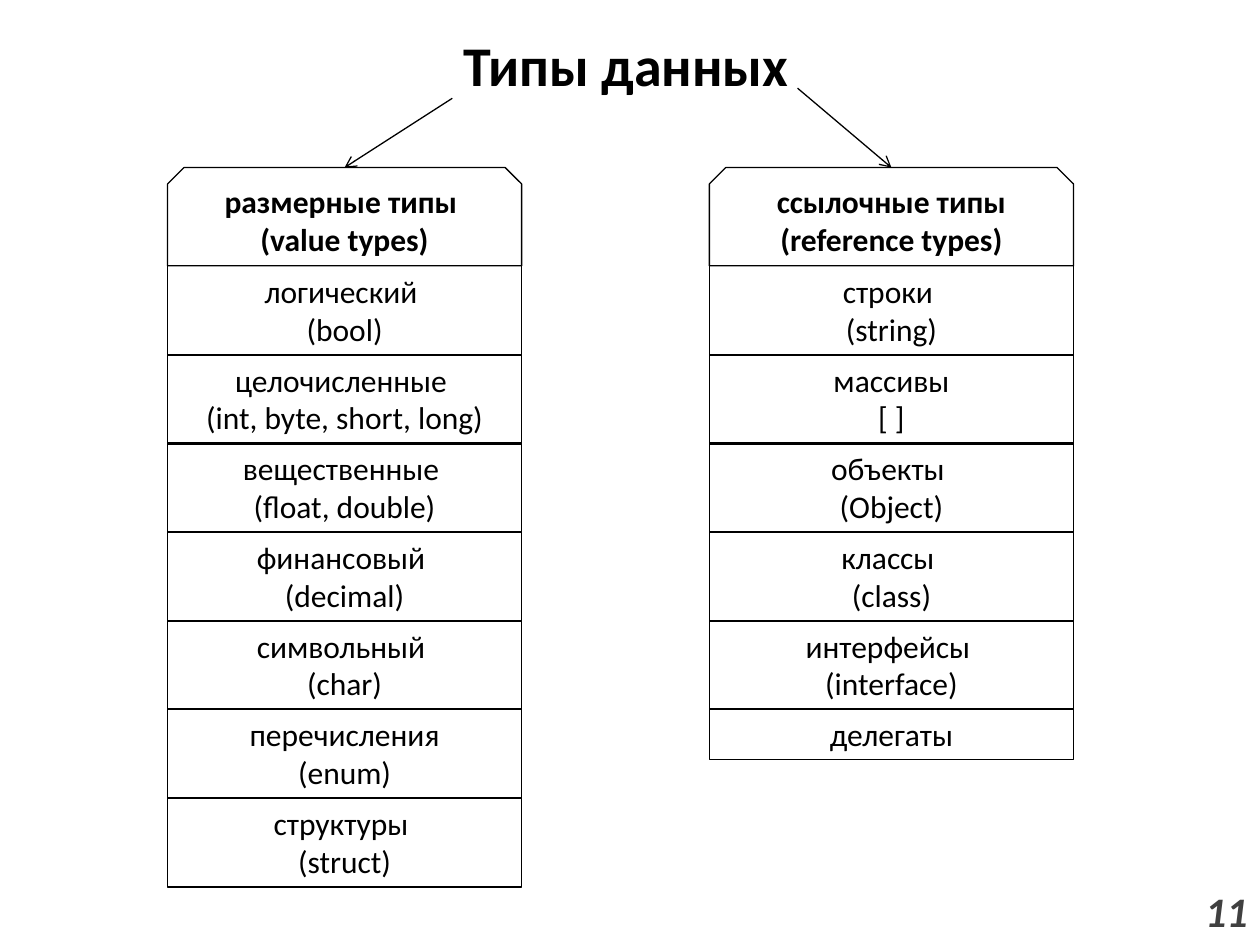
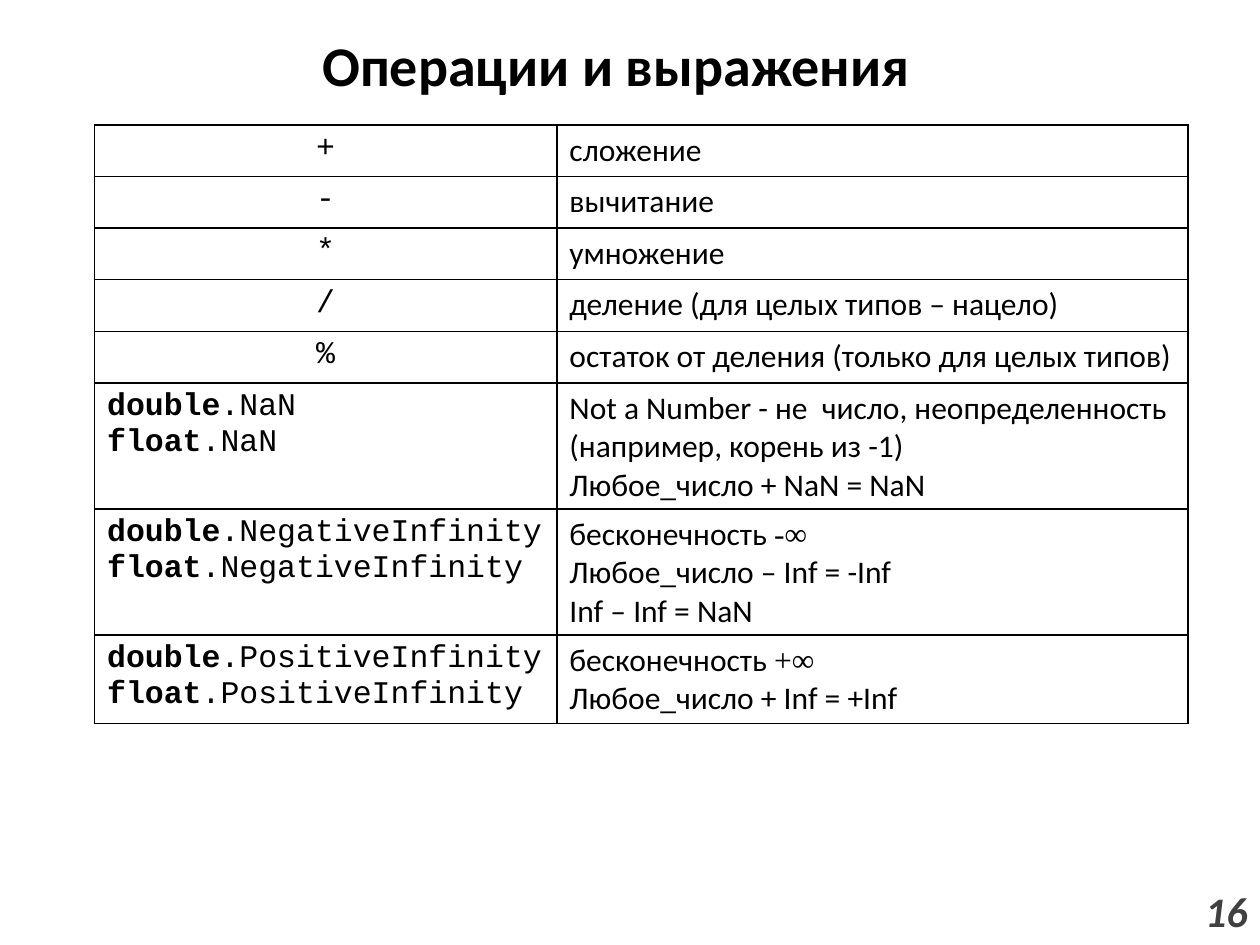
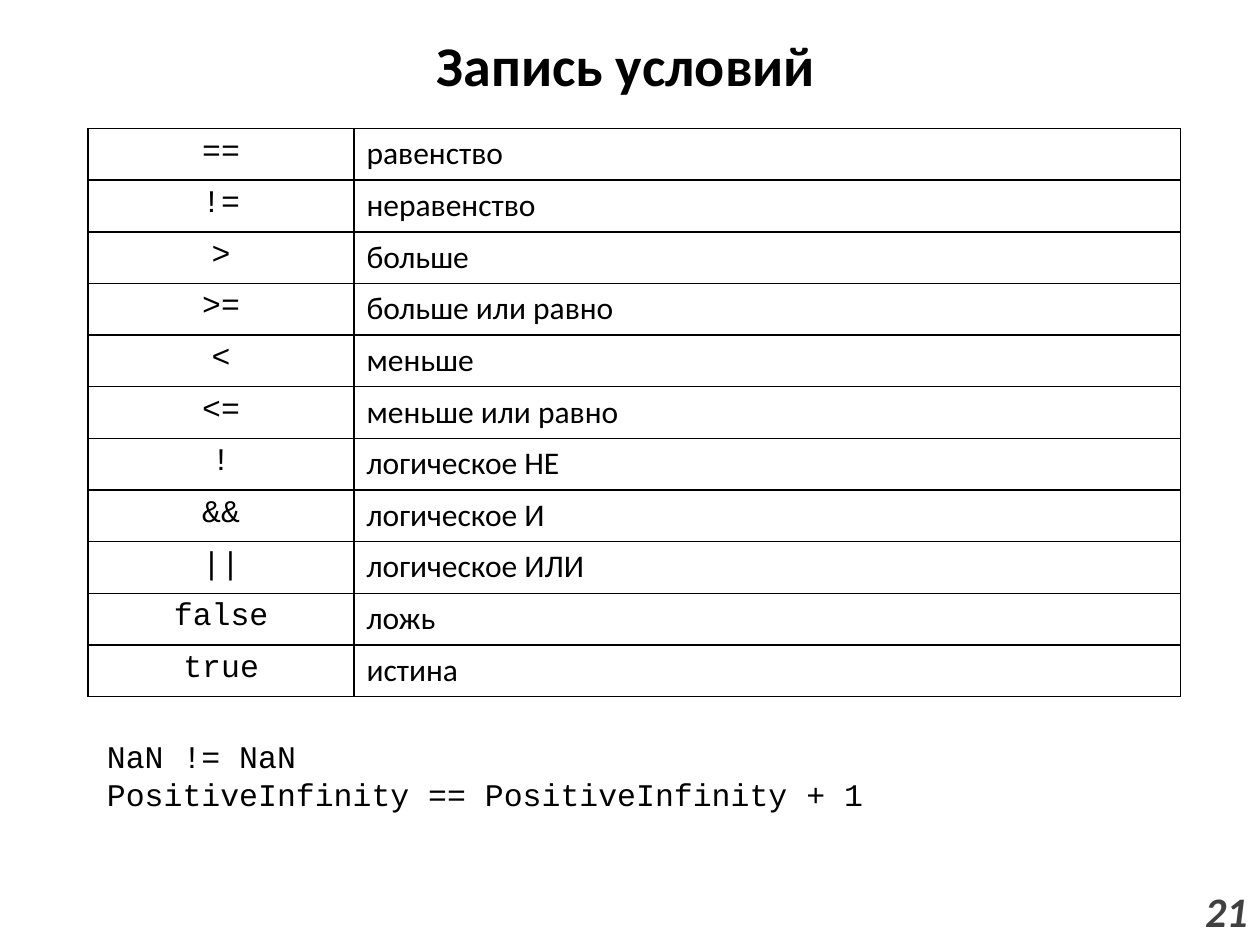
from pptx import Presentation
from pptx.dml.color import RGBColor
from pptx.enum.shapes import MSO_CONNECTOR, MSO_SHAPE
from pptx.enum.text import MSO_ANCHOR, MSO_AUTO_SIZE, PP_ALIGN
from pptx.oxml import parse_xml
from pptx.oxml.ns import nsdecls
from pptx.util import Inches, Pt

LEFT, MID, RIGHT = PP_ALIGN.LEFT, PP_ALIGN.CENTER, PP_ALIGN.RIGHT
TOP, CENTRE = MSO_ANCHOR.TOP, MSO_ANCHOR.MIDDLE
GROW = MSO_AUTO_SIZE.SHAPE_TO_FIT_TEXT
RECT, SNIP = MSO_SHAPE.RECTANGLE, MSO_SHAPE.SNIP_2_SAME_RECTANGLE
STRAIGHT = MSO_CONNECTOR.STRAIGHT

WIDE, HIGH = 10, 7.5
INK, GREY = "000000", "404040"
BODY = {"name": "Calibri", "size": Pt(18), "color": INK}
CODE = {**BODY, "name": "Courier New"}
HEAD = {**BODY, "bold": True}
TITLE = {**HEAD, "size": Pt(32)}
PAGE = {**HEAD, "size": Pt(24), "color": GREY, "italic": True}
BOLD = {"bold": True}
MATH = {"name": "Times New Roman"}

# Content: "\n" starts a paragraph, "\v" breaks a line.
TYPES = [
    {"left": 1.33, "width": 2.81, "arrow": (3.59, 0.78),
     "head": "размерные типы \n(value types)",
     "items": ["логический \v(bool)",
               "целочисленные \v(int, byte, short, long)",
               "вещественные \v(float, double)",
               "финансовый \v(decimal)",
               "символьный \v(char)",
               "перечисления\n(enum)",
               "структуры \v(struct)"]},
    {"left": 5.63, "width": 2.89, "arrow": (6.33, 0.7),
     "head": "ссылочные типы\n(reference types)",
     "items": ["строки \v(string)",
               "массивы\v [ ] ",
               "объекты \v(Object)",
               "классы \v(class)",
               "интерфейсы \v(interface)",
               "делегаты"]},
]


def fields(name):
    """Give the two code lines for a constant of double and float."""
    return [[(kind, BOLD), ("." + name, {})] for kind in ("double", "float")]


MATHS = [
    ("+", "сложение"),
    ("-", "вычитание"),
    ("*", "умножение"),
    ("/", "деление (для целых типов – нацело)"),
    ("%", "остаток от деления (только для целых типов)"),
    (fields("NaN"),
     "Not a Number - не  число, неопределенность (например, корень из -1)\n"
     "Любое_число + NaN = NaN"),
    (fields("NegativeInfinity"),
     [[("бесконечность ", {}), ("-∞", MATH)],
      "Любое_число – Inf = -Inf", "Inf – Inf = NaN"]),
    (fields("PositiveInfinity"),
     [[("бесконечность ", {}), ("+∞", MATH)],
      "Любое_число + Inf = +Inf"]),
]
TESTS = [
    ("==", "равенство"),
    ("!=", "неравенство"),
    (">", "больше"),
    (">=", "больше или равно"),
    ("<", "меньше"),
    ("<=", "меньше или равно"),
    ("!", "логическое НЕ"),
    ("&&", "логическое И"),
    ("||", "логическое ИЛИ"),
    ("false", "ложь"),
    ("true", "истина"),
]
NOTE = "NaN != NaN\nPositiveInfinity == PositiveInfinity + 1"


def tint(code):
    """Turn a hex string into a colour."""
    return RGBColor.from_string(code)


def style(font, look):
    """Set font attributes from a dict."""
    for key, value in look.items():
        if key == "color":
            font.color.rgb = tint(value)
        else:
            setattr(font, key, value)


def write(frame, text, look, align=LEFT):
    """Fill a text frame from a string or a list of paragraphs."""
    paras = text.split("\n") if isinstance(text, str) else text
    for i, para in enumerate(paras):
        line = frame.add_paragraph() if i else frame.paragraphs[0]
        line.alignment = align
        if isinstance(para, str):
            line.text = para
            for run in line.runs:
                style(run.font, look)
        else:
            for words, extra in para:
                run = line.add_run()
                run.text = words
                style(run.font, {**look, **extra})


def label(slide, box, text, look, align=LEFT, anchor=TOP):
    """Add a wrapped text box."""
    frame = slide.shapes.add_textbox(*map(Inches, box)).text_frame
    frame.word_wrap = True
    frame.vertical_anchor = anchor
    write(frame, text, look, align)


def start(deck, title, page, left=0.47):
    """Add a blank slide with its title and page number."""
    slide = deck.slides.add_slide(deck.slide_layouts[6])
    label(slide, (left, 0, 9, 1.02), title, TITLE, MID, CENTRE)
    wide, high = 0.94, 0.55
    label(slide, (WIDE - wide, HIGH - high, wide, high), str(page), PAGE,
          RIGHT, CENTRE)
    return slide


def block(slide, kind, box, text, look):
    """Add an outlined shape with centred text."""
    shape = slide.shapes.add_shape(kind, *map(Inches, box))
    shape.shadow.inherit = False
    shape.fill.background()
    shape.line.color.rgb = tint(INK)
    shape.line.width = Pt(0.75)
    frame = shape.text_frame
    frame.vertical_anchor = TOP
    frame.auto_size = GROW
    write(frame, text, look, MID)


def arrow(slide, tail, tip):
    """Draw a line with an open arrowhead at its tip."""
    link = slide.shapes.add_connector(STRAIGHT, *map(Inches, tail + tip))
    link.line.color.rgb = tint(INK)
    link.line.width = Pt(0.75)
    link.line._get_or_add_ln().append(
        parse_xml(f'<a:tailEnd {nsdecls("a")} type="arrow"/>'))
    link._element.spPr.append(parse_xml(f'<a:effectLst {nsdecls("a")}/>'))


def border(cell):
    """Draw the four edges of a cell, before its fill is set."""
    props = cell._tc.get_or_add_tcPr()
    for side in "LRTB":
        props.append(parse_xml(
            f'<a:ln{side} {nsdecls("a")} w="{Pt(1)}"><a:solidFill>'
            f'<a:srgbClr val="{INK}"/></a:solidFill></a:ln{side}>'))


def grid(slide, spot, cols, rows, high):
    """Add a table of code beside its meaning."""
    box = (*spot, sum(cols), high)
    frame = slide.shapes.add_table(len(rows), 2, *map(Inches, box))
    table = frame.table
    for col, wide in zip(table.columns, cols):
        col.width = Inches(wide)
    for i, (code, sense) in enumerate(rows):
        table.rows[i].height = Inches(0.41)
        pairs = [(code, CODE, MID if isinstance(code, str) else LEFT),
                 (sense, BODY, LEFT)]
        for j, (text, look, align) in enumerate(pairs):
            cell = table.cell(i, j)
            border(cell)
            cell.fill.background()
            write(cell.text_frame, text, look, align)
    for flag in ("first_row", "horz_banding"):
        setattr(table, flag, False)
    frame.height = Inches(high)


def types(deck):
    """Build the slide with two stacks of data types."""
    slide = start(deck, "Типы данных", 11)
    top, cap, tall = 1.33, 0.78, 0.71
    step = 4.22 / 6
    for stack in TYPES:
        left, wide = stack["left"], stack["width"]
        block(slide, SNIP, (left, top, wide, cap), stack["head"], HEAD)
        for i, item in enumerate(stack["items"]):
            high = tall if "(" in item or "[" in item else 0.4
            block(slide, RECT, (left, top + cap + i * step, wide, high),
                  item, BODY)
        arrow(slide, stack["arrow"], (left + wide / 2, top))


deck = Presentation()
deck.slide_width, deck.slide_height = Inches(WIDE), Inches(HIGH)

types(deck)

slide = start(deck, "Операции и выражения", 16, 0.39)
grid(slide, (0.75, 0.99), (3.67, 5.01), MATHS, 4.73)

slide = start(deck, "Запись условий", 21)
grid(slide, (0.7, 1.02), (2.11, 6.56), TESTS, 4.46)
label(slide, (0.75, 5.8, 7.95, 0.71), NOTE, CODE)

deck.save("out.pptx")
